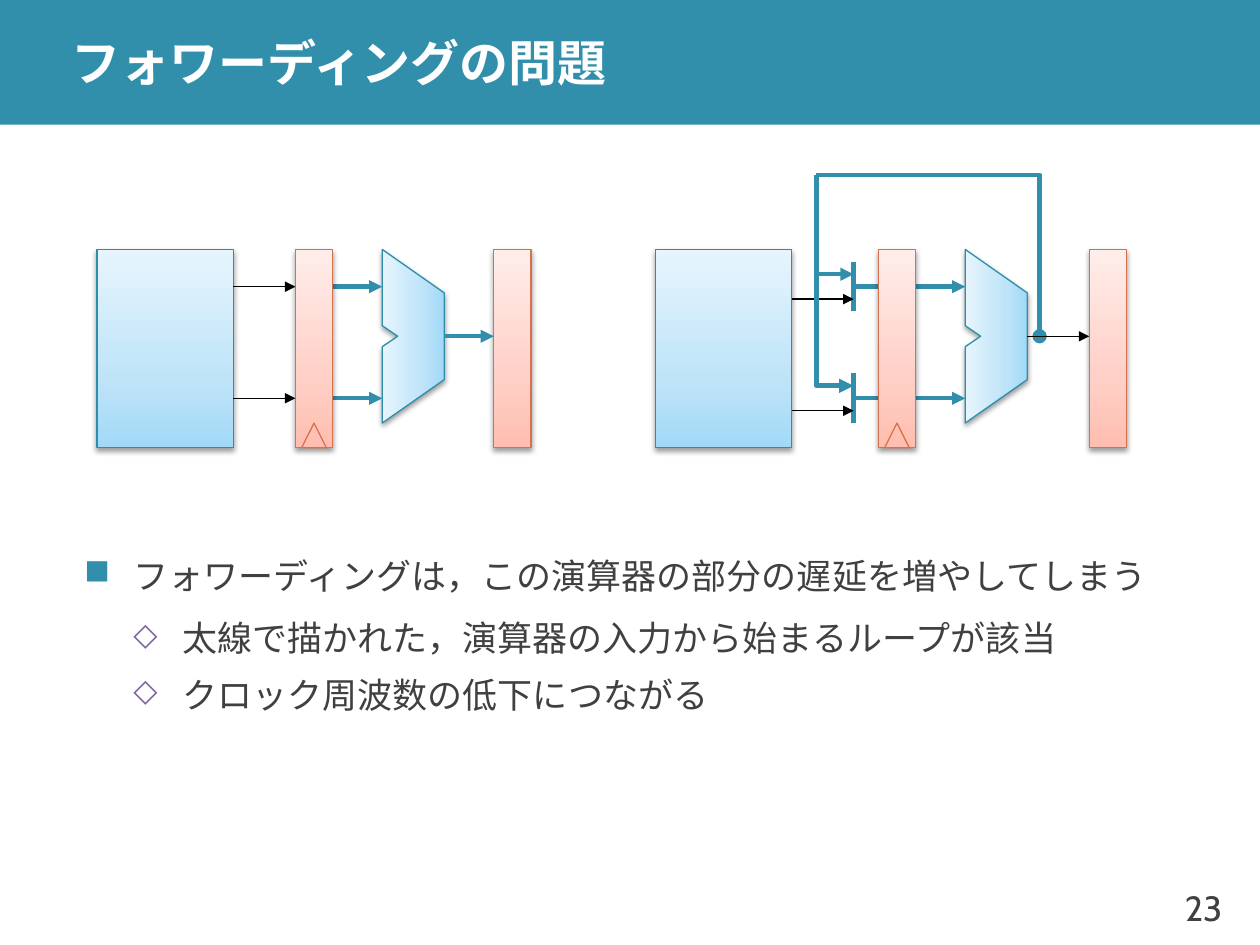
import copy
from dataclasses import dataclass

import pptx
import pptx.dml.color
import pptx.enum.shapes
import pptx.enum.text
import pptx.oxml
import pptx.oxml.ns
import pptx.util
from lxml import etree

COLORS = {
    "teal": "328FAC", "text": "404040", "white": "FFFFFF", "black": "000000",
    "blue_edge": "2E8DAB", "red_edge": "D7714D", "purple": "8064A2",
}
BLUE = ("A2D9F7", "BFE4F8", "E6F5FD")
RED = ("FFBEB0", "FFD0C7", "FFEDEA")
FONT = "Cabin"
CELL = pptx.util.Mm(2.5)
TOP = pptx.util.Inches(1.98)
RECT = pptx.enum.shapes.MSO_SHAPE.RECTANGLE
TRIANGLE = pptx.enum.shapes.MSO_SHAPE.ISOSCELES_TRIANGLE
ALU = ((0, 0), (5, 3.5), (5, 10.5), (0, 14), (0, 7.85), (1.25, 7), (0, 6.15))
OPERAND_ROWS = (3, 12)

prs = pptx.Presentation()
prs.slide_width = pptx.util.Inches(10)
prs.slide_height = pptx.util.Inches(7.5)
s = prs.slides.add_slide(prs.slide_layouts[5])


@dataclass
class Grid:
    left: float

    def at(self, col: float, row: float) -> tuple[int, int]:
        return int(pptx.util.Inches(self.left) + col * CELL), int(TOP + row * CELL)


@dataclass
class Wire:
    points: tuple
    color: str = "teal"
    width: float = 2.5
    head: str = ""
    tail: str = "triangle"


@dataclass
class Item:
    text: str
    level: int
    bullet: str
    color: str
    size: int
    before: int
    after: int


def rgb(value: str) -> pptx.dml.color.RGBColor:
    return pptx.dml.color.RGBColor.from_string(value)


def add_xml(parent, xml: str) -> None:
    parent.append(pptx.oxml.parse_xml(
        xml.replace("/>", f" {pptx.oxml.ns.nsdecls('a')}/>", 1) if xml.endswith("/>")
        and xml.count("<") == 1
        else xml.replace(">", f" {pptx.oxml.ns.nsdecls('a')}>", 1)))


def shade(sp, stops: tuple, edge: str, angle: int = 90) -> None:
    sp.fill.gradient()
    sp.fill.gradient_angle = angle
    first = sp._element.spPr.find(".//" + pptx.oxml.ns.qn("a:gs"))
    first.addnext(copy.deepcopy(first))
    for stop, color, position in zip(sp.fill.gradient_stops, stops, (0, 0.35, 1)):
        stop.color.rgb = rgb(color)
        stop.position = position
    sp.line.color.rgb = rgb(COLORS[edge])
    sp.line.width = pptx.util.Pt(0.75)
    add_xml(sp._element.spPr,
            f'<a:effectLst><a:outerShdw blurRad="{pptx.util.Pt(3.1)}" '
            f'dist="{pptx.util.Pt(1.6)}" dir="5400000" rotWithShape="0">'
            '<a:srgbClr val="000000"><a:alpha val="38000"/></a:srgbClr>'
            '</a:outerShdw></a:effectLst>')


def block(grid: Grid, col: float, width: float, stops: tuple, edge: str) -> None:
    sp = s.shapes.add_shape(RECT, *grid.at(col, 0), int(width * CELL), 16 * CELL)
    shade(sp, stops, edge)


def register(grid: Grid, col: float, clocked: bool = False) -> None:
    block(grid, col, 3, RED, "red_edge")
    if clocked:
        sp = s.shapes.add_shape(TRIANGLE, *grid.at(col + 0.5, 14), 2 * CELL, 2 * CELL)
        sp.shadow.inherit = False
        sp.fill.background()
        sp.line.color.rgb = rgb(COLORS["red_edge"])
        sp.line.width = pptx.util.Pt(0.75)


def outline(grid: Grid, points: tuple, close: bool):
    start, *rest = [grid.at(*point) for point in points]
    builder = s.shapes.build_freeform(*start)
    builder.add_line_segments(rest, close=close)
    return builder.convert_to_shape()


def alu(grid: Grid, col: float) -> None:
    sp = outline(grid, tuple((col + x, y) for x, y in ALU), True)
    shade(sp, BLUE, "blue_edge", 180)


def draw(grid: Grid, wire: Wire) -> None:
    if len(wire.points) == 2:
        start, end = (grid.at(*point) for point in wire.points)
        sp = s.shapes.add_connector(
            pptx.enum.shapes.MSO_CONNECTOR.STRAIGHT, *start, *end)
        etree.SubElement(sp._element.spPr, pptx.oxml.ns.qn("a:effectLst"))
    else:
        sp = outline(grid, wire.points, False)
        sp.shadow.inherit = False
        sp.fill.background()
    sp.line.color.rgb = rgb(COLORS[wire.color])
    sp.line.width = pptx.util.Pt(wire.width)
    ln = sp._element.spPr.find(pptx.oxml.ns.qn("a:ln"))
    for tag, kind in (("a:headEnd", wire.head), ("a:tailEnd", wire.tail)):
        if kind:
            etree.SubElement(ln, pptx.oxml.ns.qn(tag), type=kind)


def style(p, size: int, color: str, bold: bool = False) -> None:
    p.font.name = FONT
    p.font.size = pptx.util.Pt(size)
    p.font.bold = bold
    p.font.color.rgb = rgb(COLORS[color])


def place(sp, left: float, top: float, width: float, height: float) -> None:
    sp.left, sp.width = (int(prs.slide_width * v) for v in (left, width))
    sp.top, sp.height = (int(prs.slide_height * v) for v in (top, height))


def text_box(left: float, top: float, width: float, height: float, wrap: bool):
    sp = s.shapes.add_textbox(0, 0, 0, 0)
    place(sp, left, top, width, height)
    tf = sp.text_frame
    tf.word_wrap = wrap
    tf.vertical_anchor = pptx.enum.text.MSO_ANCHOR.MIDDLE
    return tf


def add_item(p, item: Item) -> None:
    p.text = item.text
    p.level = item.level
    p.line_spacing = 1.1
    p.space_before = pptx.util.Pt(item.before)
    p.space_after = pptx.util.Pt(item.after)
    indent = pptx.util.Inches(0.39)
    pPr = p._p.get_or_add_pPr()
    pPr.set("marL", str(indent * (item.level + 1)))
    pPr.set("indent", str(-indent))
    add_xml(pPr, f'<a:buClr><a:srgbClr val="{COLORS[item.color]}"/></a:buClr>')
    add_xml(pPr, f'<a:buSzPct val="{item.size * 1000}"/>')
    add_xml(pPr, f'<a:buChar char="{item.bullet}"/>')
    style(p, 20, "text")


band = s.shapes.add_shape(RECT, 0, 0, 0, 0)
place(band, 0, 0, 1, 0.132)
band.shadow.inherit = False
band.fill.solid()
band.fill.fore_color.rgb = rgb(COLORS["teal"])
band.line.fill.background()
s.shapes._spTree.insert(2, band._element)

title = s.shapes.title
place(title, 0.047, 0, 0.953, 0.132)
tf = title.text_frame
tf.text = "フォワーディングの問題"
tf.auto_size = pptx.enum.text.MSO_AUTO_SIZE.NONE
tf.vertical_anchor = pptx.enum.text.MSO_ANCHOR.MIDDLE
tf.margin_top = tf.margin_bottom = 0
tf.paragraphs[0].alignment = pptx.enum.text.PP_ALIGN.LEFT
style(tf.paragraphs[0], 28, "white", True)

tf = text_box(0.913, 0.92, 0.067, 0.08, False)
p = tf.paragraphs[0]
p.text = "23"
p.alignment = pptx.enum.text.PP_ALIGN.RIGHT
style(p, 20, "text")

items = (
    Item("フォワーディングは，この演算器の部分の遅延を増やしてしまう", 0, "■", "teal", 100, 24, 6),
    Item("太線で描かれた，演算器の入力から始まるループが該当", 1, "◇", "purple", 90, 3, 3),
    Item("クロック周波数の低下につながる", 1, "◇", "purple", 90, 3, 3),
)
tf = text_box(0.057, 0.552, 0.906, 0.236, True)
for i, item in enumerate(items):
    add_item(tf.add_paragraph() if i else tf.paragraphs[0], item)

plain, forwarded = Grid(0.77), Grid(5.2)
for grid, reg, out in ((plain, 16, 32), (forwarded, 18, 35)):
    alu(grid, reg + 7)
    for row in OPERAND_ROWS:
        start = reg + 3 if grid is plain else 16
        draw(grid, Wire(((start, row), (reg + 7, row))))
    register(grid, reg, True)
    register(grid, out)
    block(grid, 0, 11, BLUE, "blue_edge")

for row in OPERAND_ROWS:
    draw(plain, Wire(((11, row), (16, row)), "black", 0.75))
    draw(forwarded, Wire(((16, row - 2), (16, row + 2)), width=3, tail=""))
    draw(forwarded, Wire(((11, row + 1), (16, row + 1)), "black", 0.75))
draw(plain, Wire(((28, 7), (32, 7))))
draw(forwarded, Wire(((31, 7), (31, -6), (13, -6)), width=2.75, head="oval", tail=""))
draw(forwarded, Wire(((13, -6), (13, 2), (16, 2))))
draw(forwarded, Wire(((13, 2), (13, 11), (16, 11)), width=2.75))
draw(forwarded, Wire(((30, 7), (35, 7)), "black", 0.75))

prs.save("out.pptx")
